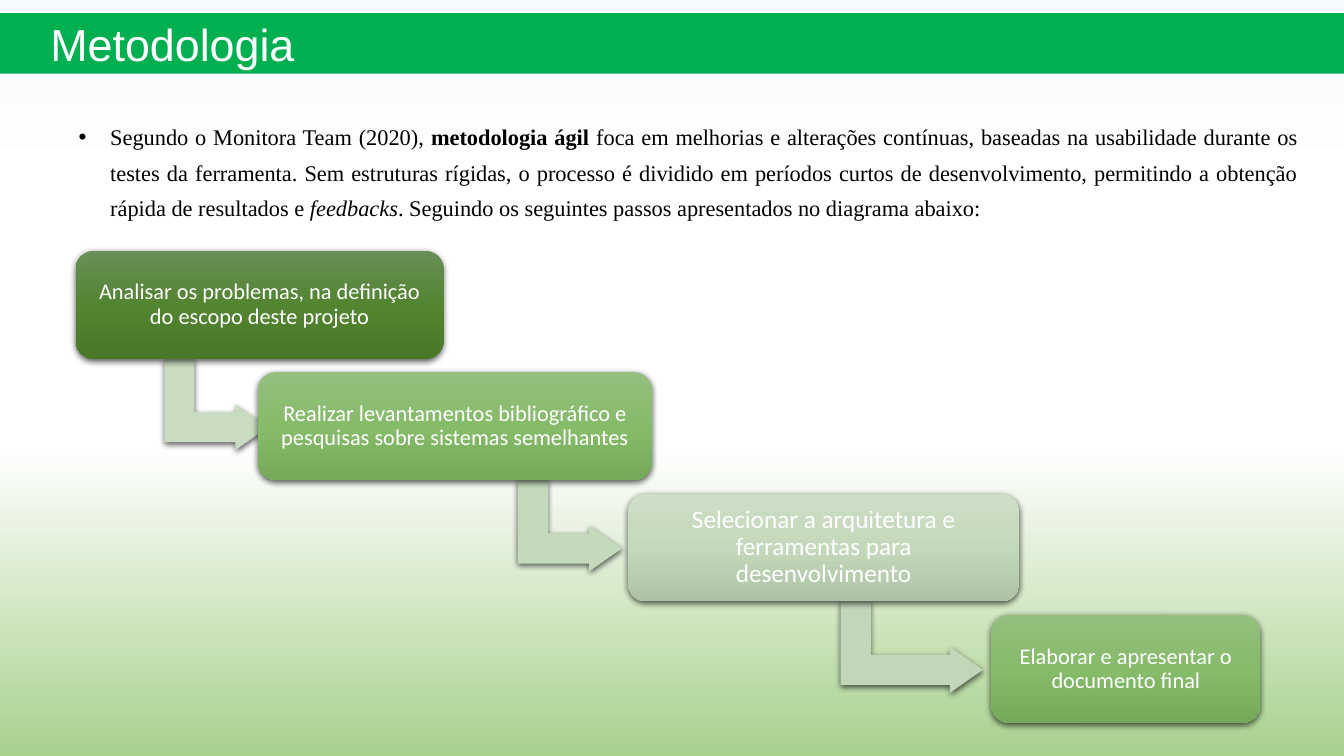
import pptx
import pptx.util
import pptx.dml.color
import pptx.enum.shapes
import pptx.enum.text
import pptx.oxml
import pptx.oxml.ns

Pt = pptx.util.Pt
SHAPE = pptx.enum.shapes.MSO_SHAPE
ALIGN = pptx.enum.text.PP_ALIGN
MIDDLE = pptx.enum.text.MSO_ANCHOR.MIDDLE
A_NS = pptx.oxml.ns.nsdecls("a")

DARK = [(0, "6A8F57"), (50, "528431"), (100, "487828")]
MEDIUM = [(0, "95BF7F"), (50, "86BB6A"), (100, "76AA5A")]
PALE = [(0, "CDDEC6"), (50, "C4D9BB"), (100, "AEC3A5")]
BACKDROP = [(0, "F7FAFD"), (26, "FFFFFF"), (59, "FFFFFF"), (100, "A9D18E")]

# Step text, left, width, font size, gradient
STEPS = [
    ("Analisar os problemas, na definição do escopo deste projeto", 54, 262.8, 16, DARK),
    ("Realizar levantamentos bibliográfico e pesquisas sobre sistemas semelhantes",
     184.2, 281.5, 16, MEDIUM),
    ("Selecionar a arquitetura e ferramentas para desenvolvimento", 448.6, 279.5, 18, PALE),
    ("Elaborar e apresentar o documento final", 708, 192.4, 16, MEDIUM),
]
# Arrow left, length, colour
ARROWS = [(117.4, 74.2, "C9DBC1"), (370, 74.2, "C5D9BD"), (600.5, 101.5, "C2D7B9")]

FIRST_TOP, STEP_RISE, STEP_HEIGHT = 179.2, 86.7, 77
ARROW_DROP, ARROW_HEIGHT = 109.5, 65.5


def colour(hex_value):
    return pptx.dml.color.RGBColor.from_string(hex_value)


def set_gradient(fill, owner, stops):
    """Fill from top to bottom with (percent, colour) stops."""
    fill.gradient()
    gradient = next(owner.iter(pptx.oxml.ns.qn("a:gradFill")))
    for child in list(gradient):
        gradient.remove(child)
    marks = "".join(f'<a:gs pos="{pos * 1000}"><a:srgbClr val="{value}"/></a:gs>'
                    for pos, value in stops)
    gradient.append(pptx.oxml.parse_xml(f"<a:gsLst {A_NS}>{marks}</a:gsLst>"))
    gradient.append(pptx.oxml.parse_xml(f'<a:lin {A_NS} ang="5400000" scaled="0"/>'))


def add_plain_shape(slide, kind, left, top, width, height):
    shape = slide.shapes.add_shape(kind, Pt(left), Pt(top), Pt(width), Pt(height))
    shape.line.fill.background()
    shape.shadow.inherit = False
    return shape


def add_soft_shadow(shape):
    effects = shape._element.spPr.find(pptx.oxml.ns.qn("a:effectLst"))
    effects.append(pptx.oxml.parse_xml(
        f'<a:outerShdw {A_NS} blurRad="57150" dist="19050" dir="5400000" '
        'algn="ctr" rotWithShape="0"><a:srgbClr val="000000">'
        '<a:alpha val="63000"/></a:srgbClr></a:outerShdw>'))


def set_margins(frame, left=0, top=0, right=0, bottom=0):
    frame.word_wrap = True
    frame.margin_left, frame.margin_top = Pt(left), Pt(top)
    frame.margin_right, frame.margin_bottom = Pt(right), Pt(bottom)


def add_text(paragraph, text, font="Calibri", size=16, color="FFFFFF",
             bold=False, italic=False):
    run = paragraph.add_run()
    run.text = text
    run.font.name, run.font.size = font, Pt(size)
    run.font.bold, run.font.italic = bold, italic
    run.font.color.rgb = colour(color)


def add_title(slide, text):
    banner = add_plain_shape(slide, SHAPE.RECTANGLE, 0, 9.4, 960, 43.2)
    banner.fill.solid()
    banner.fill.fore_color.rgb = colour("00B050")
    frame = banner.text_frame
    set_margins(frame, left=36)
    frame.vertical_anchor = MIDDLE
    frame.paragraphs[0].alignment = ALIGN.LEFT
    add_text(frame.paragraphs[0], text, font="Arial", size=32)


def add_introduction(slide):
    box = slide.shapes.add_textbox(Pt(20.2), Pt(81.7), Pt(907), Pt(80))
    set_margins(box.text_frame)
    paragraph = box.text_frame.paragraphs[0]
    paragraph.alignment = ALIGN.JUSTIFY
    paragraph.line_spacing = Pt(25.5)
    properties = paragraph._p.get_or_add_pPr()
    properties.set("marL", str(Pt(58.5)))
    properties.set("indent", str(-Pt(22.5)))
    properties.append(pptx.oxml.parse_xml(f'<a:buFont {A_NS} typeface="Arial"/>'))
    properties.append(pptx.oxml.parse_xml(f'<a:buChar {A_NS} char="•"/>'))
    parts = [
        ("Segundo o Monitora Team (2020), ", {}),
        ("metodologia ágil", {"bold": True}),
        (" foca em melhorias e alterações contínuas, baseadas na usabilidade durante os "
         "testes da ferramenta. Sem estruturas rígidas, o processo é dividido em períodos "
         "curtos de desenvolvimento, permitindo a obtenção rápida de resultados e ", {}),
        ("feedbacks", {"italic": True}),
        (". Seguindo os seguintes passos apresentados no diagrama abaixo:", {}),
    ]
    for text, style in parts:
        add_text(paragraph, text, font="Times New Roman", color="000000", **style)


def add_arrow(slide, left, middle, length, color):
    # Turned a quarter, so its height runs along the slide's width
    arrow = add_plain_shape(slide, SHAPE.BENT_UP_ARROW,
                            left + (length - ARROW_HEIGHT) / 2, middle - length / 2,
                            ARROW_HEIGHT, length)
    arrow.rotation = 90
    for index, value in enumerate((0.328, 0.25, 0.358)):
        arrow.adjustments[index] = value
    arrow.fill.solid()
    arrow.fill.fore_color.rgb = colour(color)
    add_soft_shadow(arrow)


def add_step(slide, text, left, top, width, size, stops):
    step = add_plain_shape(slide, SHAPE.ROUNDED_RECTANGLE, left, top, width, STEP_HEIGHT)
    step.adjustments[0] = 0.167
    set_gradient(step.fill, step._element.spPr, stops)
    add_soft_shadow(step)
    frame = step.text_frame
    set_margins(frame, 8.8, 8.8, 8.8, 8.8)
    frame.vertical_anchor = MIDDLE
    frame.paragraphs[0].alignment = ALIGN.CENTER
    frame.paragraphs[0].line_spacing = 0.9
    add_text(frame.paragraphs[0], text, size=size)


def main():
    deck = pptx.Presentation()
    deck.slide_width, deck.slide_height = Pt(960), Pt(540)
    slide = deck.slides.add_slide(deck.slide_layouts[6])
    set_gradient(slide.background.fill, slide._element, BACKDROP)

    add_title(slide, "Metodologia")
    add_introduction(slide)

    # Staircase: each arrow lies behind the steps it joins
    for index, (text, left, width, size, stops) in enumerate(STEPS):
        top = FIRST_TOP + index * STEP_RISE
        if index < len(ARROWS):
            arrow_left, length, color = ARROWS[index]
            add_arrow(slide, arrow_left, top + ARROW_DROP, length, color)
        add_step(slide, text, left, top, width, size, stops)

    deck.save("out.pptx")


if __name__ == "__main__":
    main()
